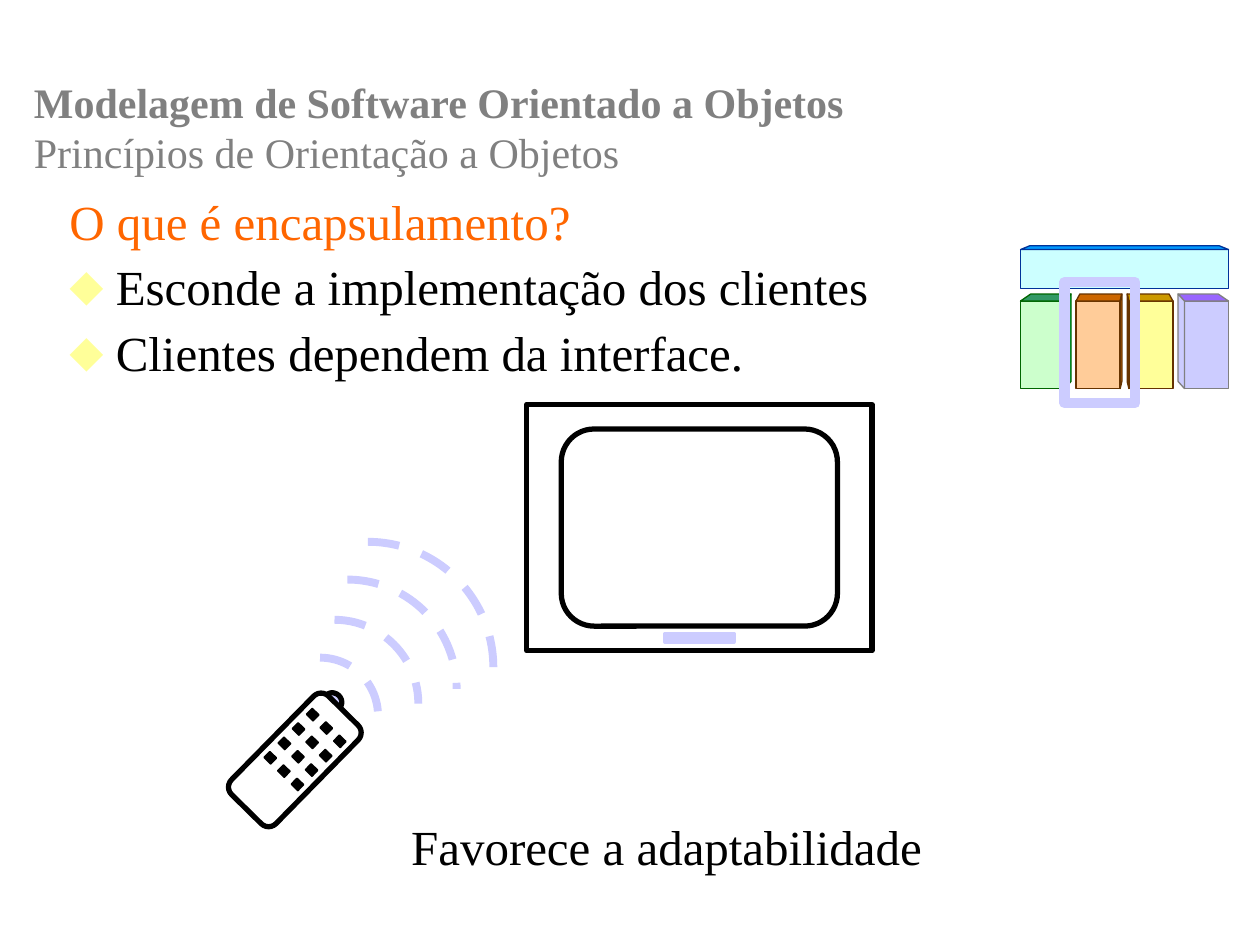
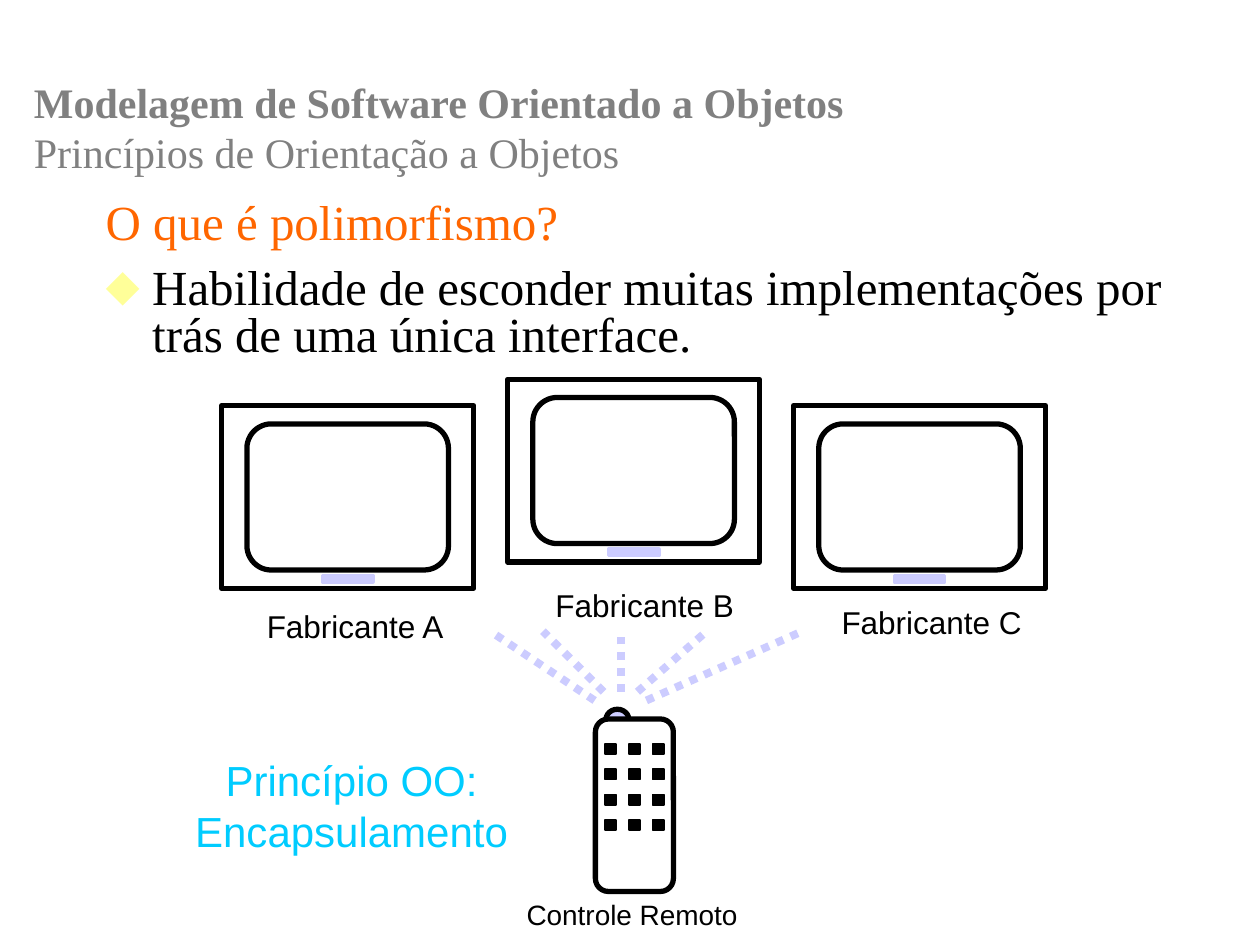
from math import cos, pi, radians, sin

from lxml import etree
from pptx import Presentation
from pptx.dml.color import RGBColor
from pptx.enum import dml, shapes, text
from pptx.oxml import ns
from pptx.util import Pt

SERIF, SANS = "Times New Roman", "Arial"
BLACK, GRAY, ORANGE, CYAN = "000000", "808080", "FF6600", "00CCFF"
LILAC, PALE_YELLOW = "CCCCFF", "FFFF99"
BROWN = "663300"
COURSE = "Modelagem de Software Orientado a Objetos"
TOPIC = "Princípios de Orientação a Objetos"


def rgb(color):
    return RGBColor.from_string(color)


def add_xml(parent, tag, **attributes):
    return etree.SubElement(parent, ns.qn(tag), attributes)


class Deck:
    def __init__(self):
        self.file = Presentation()
        self.file.slide_width, self.file.slide_height = Pt(720), Pt(540)
        self.slide = None

    def new_slide(self):
        self.slide = self.file.slides.add_slide(self.file.slide_layouts[1])
        self.header()

    @staticmethod
    def place(shape, left, top, width, height):
        shape.left, shape.top = Pt(left), Pt(top)
        shape.width, shape.height = Pt(width), Pt(height)

    @staticmethod
    def frame(shape, margins, anchor=text.MSO_ANCHOR.TOP, wrap=True):
        frame = shape.text_frame
        frame.margin_left = frame.margin_right = Pt(margins[0])
        frame.margin_top = frame.margin_bottom = Pt(margins[1])
        frame.vertical_anchor = anchor
        frame.auto_size = text.MSO_AUTO_SIZE.NONE
        frame.word_wrap = wrap
        return frame

    @staticmethod
    def font(paragraph, name, size, color):
        paragraph.font.name = name
        paragraph.font.size = Pt(size)
        paragraph.font.color.rgb = rgb(color)

    def header(self):
        title = self.slide.shapes.title
        self.place(title, 12.2, 30.2, 600, 84.2)
        heading = self.frame(title, (7.2, 3.6), text.MSO_ANCHOR.MIDDLE).paragraphs[0]
        heading.alignment = text.PP_ALIGN.LEFT
        self.font(heading, SERIF, 24, GRAY)
        course = heading.add_run()
        course.text = COURSE
        course.font.bold = True
        heading.add_line_break()
        topic = heading.add_run()
        topic.text = TOPIC
        topic.font.bold = False

    def bullets(self, left, top, width, height, question, answers):
        body = self.slide.placeholders[1]
        self.place(body, left, top, width, height)
        frame = self.frame(body, (8.6, 4.3))
        for index, line in enumerate([question] + answers):
            paragraph = frame.add_paragraph() if index else frame.paragraphs[0]
            paragraph.text = line
            paragraph.line_spacing = 0.8
            paragraph.space_before = Pt(10.5 if index else 0)
            properties = paragraph._p.get_or_add_pPr()
            properties.set("marL", str(Pt(26.6)))
            properties.set("indent", str(Pt(-26.6)))
            if index:
                bullet_color = add_xml(properties, "a:buClr")
                add_xml(bullet_color, "a:srgbClr", val=PALE_YELLOW)
                add_xml(properties, "a:buChar", char="⬥")
            else:
                add_xml(properties, "a:buNone")
            self.font(paragraph, SERIF, 28, BLACK if index else ORANGE)

    def label(self, left, top, width, height, words, size, name=SANS,
              color=BLACK, margins=(7.2, 3.6), centered=False):
        """Add free text; centred text wraps, other labels stay on one line."""
        box = self.slide.shapes.add_textbox(Pt(left), Pt(top), Pt(width), Pt(height))
        paragraph = self.frame(box, margins, wrap=centered).paragraphs[0]
        paragraph.text = words
        if centered:
            paragraph.alignment = text.PP_ALIGN.CENTER
        self.font(paragraph, name, size, color)

    @staticmethod
    def paint(shape, fill, line, weight):
        shape.shadow.inherit = False
        if fill:
            shape.fill.solid()
            shape.fill.fore_color.rgb = rgb(fill)
        else:
            shape.fill.background()
        shape.line.color.rgb = rgb(line)
        shape.line.width = Pt(weight)

    def box(self, left, top, width, height, fill=None, line=BLACK, weight=3,
            kind=shapes.MSO_SHAPE.RECTANGLE, rotation=0):
        shape = self.slide.shapes.add_shape(kind, Pt(left), Pt(top), Pt(width), Pt(height))
        self.paint(shape, fill, line, weight)
        shape.rotation = rotation
        return shape

    def outline(self, points, fill, line, weight, close=True):
        start, *others = [(Pt(x), Pt(y)) for x, y in points]
        builder = self.slide.shapes.build_freeform(*start)
        builder.add_line_segments(others, close=close)
        self.paint(builder.convert_to_shape(), fill, line, weight)

    def beam(self, start, end):
        ray = self.slide.shapes.add_connector(
            shapes.MSO_CONNECTOR.STRAIGHT, *map(Pt, start + end))
        ray.line.color.rgb = rgb(LILAC)
        ray.line.width = Pt(4.5)
        ray.line.dash_style = dml.MSO_LINE.ROUND_DOT
        add_xml(ray._element.spPr, "a:effectLst")

    def wave(self, left, top, size):
        arc = self.box(left, top, size, size, line=LILAC, weight=4.5,
                       kind=shapes.MSO_SHAPE.ARC)
        arc.line.dash_style = dml.MSO_LINE.DASH

    def television(self, left, top, width, height):
        self.box(left, top, width, height)
        self.box(left + 0.1 * width, top + 0.1 * height, 0.8 * width, 0.8 * height,
                 kind=shapes.MSO_SHAPE.ROUNDED_RECTANGLE)
        self.box(left + 0.4 * width, top + 0.93 * height, 0.2 * width, 0.035 * height,
                 LILAC, LILAC, 2)

    def remote(self, center_x, center_y, scale=1, tilt=0):
        """Draw a remote control turned clockwise by tilt degrees about its centre."""
        turn = radians(tilt)

        def spot(x, y):
            return (center_x + scale * (x * cos(turn) - y * sin(turn)),
                    center_y + scale * (x * sin(turn) + y * cos(turn)))

        def part(x, y, length, breadth, **style):
            middle_x, middle_y = spot(x, y)
            length, breadth = length * scale, breadth * scale
            self.box(middle_x - length / 2, middle_y - breadth / 2, length, breadth,
                     rotation=270 + tilt, **style)

        angles = [pi - pi * step / 12 for step in range(13)]
        emitter = [spot(-9.7 + 6.5 * cos(a), -49 - 5.8 * sin(a)) for a in angles]
        self.outline(emitter, LILAC, BLACK, 3, close=False)
        part(0, 0, 98.6, 44.6, kind=shapes.MSO_SHAPE.ROUNDED_RECTANGLE)
        for row in range(4):
            for column in range(3):
                part(13.6 * (column - 1), -32 + 14.4 * row, 5.8, 6.5,
                     fill=BLACK, weight=1)

    def pillar(self, left, depth, inset, front, roof, side, line):
        """Draw a solid block whose side shows right (depth > 0) or left."""
        top, bottom, width, rise = 172, 222, 25.2, 4
        near, far = (left + width, left) if depth > 0 else (left, left + width)
        back = near + depth
        self.box(left, top, width, bottom - top, front, line, 0.75)
        self.outline([(far, top), (far + inset, top - rise), (back, top - rise),
                      (near, top)], roof, line, 0.75)
        self.outline([(back, top - rise), (near, top), (near, bottom),
                      (back, bottom - rise)], side, line, 0.75)

    def principles_icon(self):
        """Four pillars under a slab, with the second pillar framed."""
        self.pillar(583.2, 3.6, 5.8, "CCFFCC", "339966", "00CC66", "006600")
        self.pillar(676.8, -3.6, -5.8, LILAC, "9966FF", LILAC, GRAY)
        left, right, top = 583.2, 702, 142.6
        self.box(left, top, right - left, 22.3, "CCFFFF", "003399", 0.75)
        self.outline([(right, top), (right - 5.4, top - 2.2), (left + 5.4, top - 2.2),
                      (left, top)], "0099FF", "003399", 0.75)
        self.pillar(614.9, 1, 2.2, "FFCC99", "CC6600", "CC6600", BROWN)
        self.pillar(645.1, -1, -2.2, PALE_YELLOW, "CC9900", "CCCC00", BROWN)
        self.box(608.4, 161.3, 40.3, 69.1, line=LILAC, weight=6)


def encapsulation(deck):
    deck.new_slide()
    deck.label(216, 462.2, 329.8, 42.5, "Favorece a adaptabilidade", 28, SERIF,
               margins=(8.6, 4.3), centered=True)
    deck.bullets(31, 111.6, 668.2, 113, "O que é encapsulamento?",
                 ["Esconde a implementação dos clientes",
                  "Clientes dependem da interface."])
    for left, top, size in [(149.8, 375.8, 66.2), (143.3, 354.2, 95.8),
                            (136.1, 331.2, 124.9), (138.6, 309.6, 143.3)]:
        deck.wave(left, top, size)
    deck.remote(168.5, 434.2, 0.8, 44.5)
    deck.television(301, 231.1, 197.3, 140.8)
    deck.principles_icon()


def polymorphism(deck):
    deck.new_slide()
    deck.bullets(51.8, 111.6, 648.7, 118.8, "O que é polimorfismo?",
                 ["Habilidade de esconder muitas implementações por trás "
                  "de uma única interface."])
    deck.remote(362.5, 460.1)
    makers = [("A", 231.8, 145.4, 343.4), ("B", 216.7, 310.3, 331.2),
              ("C", 231.8, 473.8, 341.3)]
    for index, (maker, tv_top, name_left, name_top) in enumerate(makers):
        deck.television(126.7 + 163.4 * index, tv_top, 144, 104.4)
        deck.label(name_left, name_top, 116, 28.8, f"Fabricante {maker}", 18)
    for start, far_x in [((339.8, 400.3), 280.1), ((355, 395.3), 396.7 - 41.7),
                         ((369.4, 400.3), 458.6), ((344.9, 395.3), 310.3),
                         ((364.3, 395.3), 403.9)]:
        deck.beam(start, (far_x, 360.7))
    deck.label(36, 427, 329.8, 66.2, "Princípio OO:\vEncapsulamento", 24,
               color=CYAN, margins=(8.6, 4.3), centered=True)
    deck.label(292.3, 508.3, 137.5, 28.1, "Controle Remoto", 16, margins=(8.6, 4.3))


def main():
    deck = Deck()
    encapsulation(deck)
    polymorphism(deck)
    deck.file.save("out.pptx")


if __name__ == "__main__":
    main()
